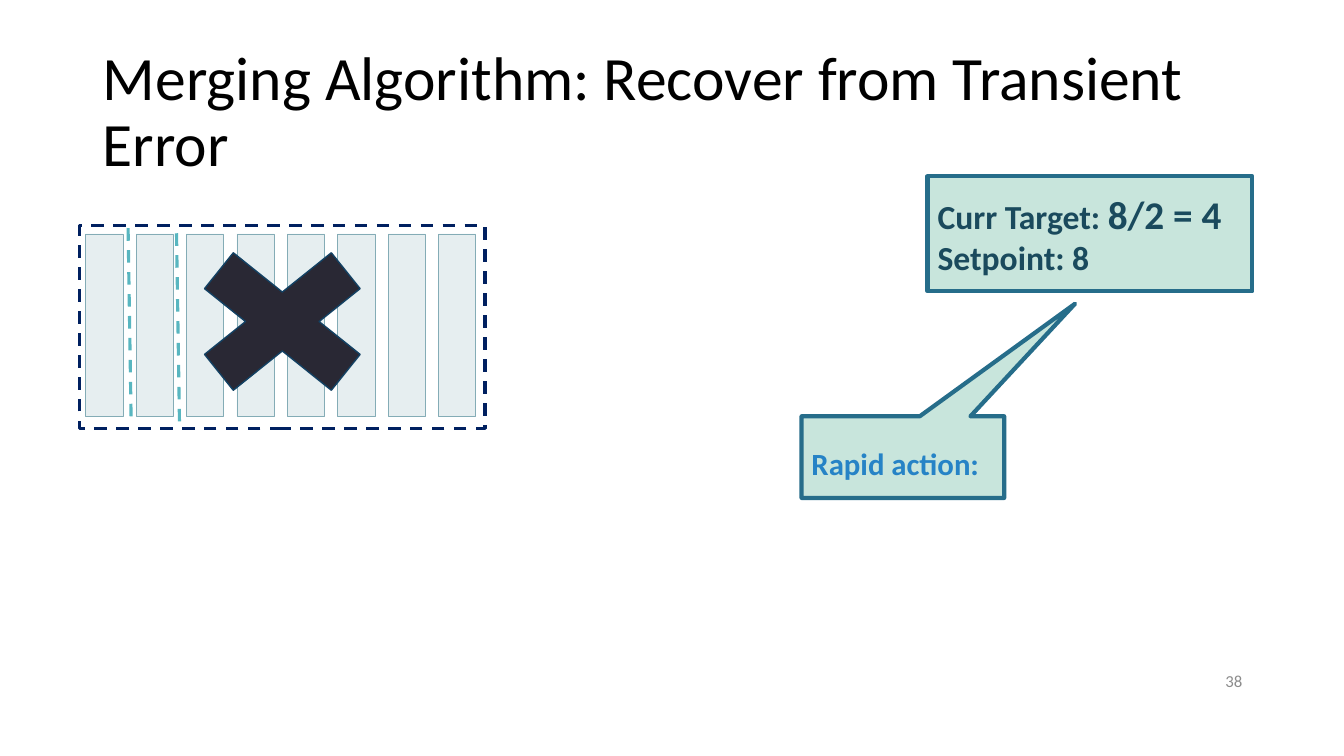
from lxml.etree import SubElement
from pptx import Presentation
from pptx.dml.color import RGBColor
from pptx.enum.dml import MSO_LINE
from pptx.enum.shapes import MSO_CONNECTOR, MSO_SHAPE
from pptx.enum.text import MSO_ANCHOR, PP_ALIGN
from pptx.oxml.ns import qn
from pptx.util import Inches, Pt

BLACK = RGBColor(0x00, 0x00, 0x00)
GRAY = RGBColor(0x8C, 0x8C, 0x8C)
MINT = RGBColor(0xC8, 0xE5, 0xDC)
TEAL = RGBColor(0x26, 0x6D, 0x8A)
DARK_TEAL = RGBColor(0x1A, 0x4A, 0x5D)
BLUE = RGBColor(0x26, 0x83, 0xC6)
PALE = RGBColor(0xE6, 0xEE, 0xF0)
PALE_EDGE = RGBColor(0x84, 0xAC, 0xB6)
NAVY = RGBColor(0x00, 0x20, 0x60)
AQUA = RGBColor(0x58, 0xB6, 0xC0)
INK = RGBColor(0x29, 0x28, 0x34)
INK_EDGE = RGBColor(0x13, 0x41, 0x63)

BAR_LEFT, BAR_TOP, BAR_PITCH = 0.85, 2.32, 0.5
BAR_WIDTH, BAR_HEIGHT = 0.37, 1.81

prs = Presentation()
prs.slide_width, prs.slide_height = Inches(13.33), Inches(7.5)
s = prs.slides.add_slide(prs.slide_layouts[5])


def add_box(kind, x, y, w, h, fill, line, width):
    sp = s.shapes.add_shape(kind, Inches(x), Inches(y), Inches(w), Inches(h))
    sp.shadow.inherit = False
    if fill is None:
        sp.fill.background()
    else:
        sp.fill.solid()
        sp.fill.fore_color.rgb = fill
    sp.line.color.rgb = line
    sp.line.width = Pt(width)
    sp.text_frame.vertical_anchor = MSO_ANCHOR.MIDDLE
    return sp


def style(p, size, color, bold=False, align=PP_ALIGN.LEFT):
    p.alignment = align
    p.font.name = "Calibri"
    p.font.size = Pt(size)
    p.font.bold = bold
    p.font.color.rgb = color


number = s.shapes.add_textbox(Inches(9.42), Inches(6.55), Inches(3), Inches(0.4))
tf = number.text_frame
tf.word_wrap = True
tf.vertical_anchor = MSO_ANCHOR.MIDDLE
tf.text = "38"
style(tf.paragraphs[0], 12, GRAY, align=PP_ALIGN.RIGHT)

title = s.shapes.title
title.left, title.top = Inches(0.92), Inches(0.4)
title.width, title.height = Inches(11.5), Inches(1.45)
tf = title.text_frame
tf.vertical_anchor = MSO_ANCHOR.MIDDLE
tf.text = "Merging Algorithm: Recover from Transient Error"
p = tf.paragraphs[0]
style(p, 44, BLACK)
p.line_spacing = 0.9

target = add_box(MSO_SHAPE.RECTANGLE, 9.2, 1.75, 3.22, 1.14, MINT, TEAL, 3)
tf = target.text_frame
tf.text = "Curr Target: \nSetpoint: 8"
for p in tf.paragraphs:
    style(p, 24, DARK_TEAL, bold=True)
r = tf.paragraphs[0].add_run()
r.text = "8/2 = 4"
r.font.size = Pt(28)

for i in range(8):
    add_box(MSO_SHAPE.RECTANGLE, BAR_LEFT + i * BAR_PITCH, BAR_TOP,
            BAR_WIDTH, BAR_HEIGHT, PALE, PALE_EDGE, 0.5)

frame = add_box(MSO_SHAPE.RECTANGLE, 0.79, 2.24, 4.02, 2.01, None, NAVY, 2.25)
frame.line.dash_style = MSO_LINE.DASH

add_box(MSO_SHAPE.MATH_MULTIPLY, 1.59, 2.22, 2.42, 1.94, INK, INK_EDGE, 1)

for x, y in ((1.27, 2.22), (1.75, 2.27)):
    divider = s.shapes.add_connector(MSO_CONNECTOR.STRAIGHT, Inches(x + 0.03),
                                     Inches(y + 1.91), Inches(x), Inches(y))
    divider.line.color.rgb = AQUA
    divider.line.width = Pt(2.25)
    divider.line.dash_style = MSO_LINE.DASH
    SubElement(divider._element.spPr, qn("a:effectLst"))

action = add_box(MSO_SHAPE.RECTANGULAR_CALLOUT, 7.95, 4.13, 2.01, 0.81, MINT, TEAL, 3)
action.adjustments[0] = 0.85
action.adjustments[1] = -1.88
tf = action.text_frame
tf.margin_top = Inches(0.16)
tf.text = "Rapid action:"
style(tf.paragraphs[0], 22, BLUE, bold=True)

prs.save("out.pptx")
